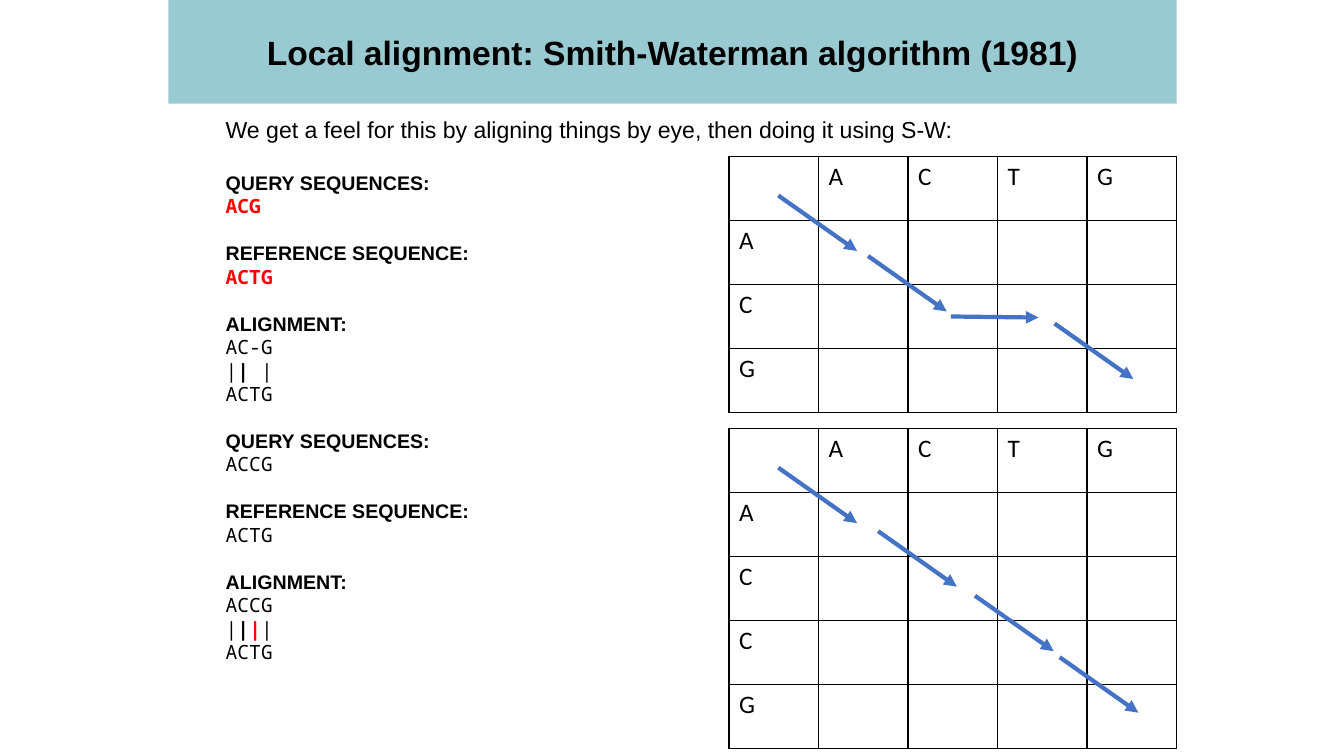
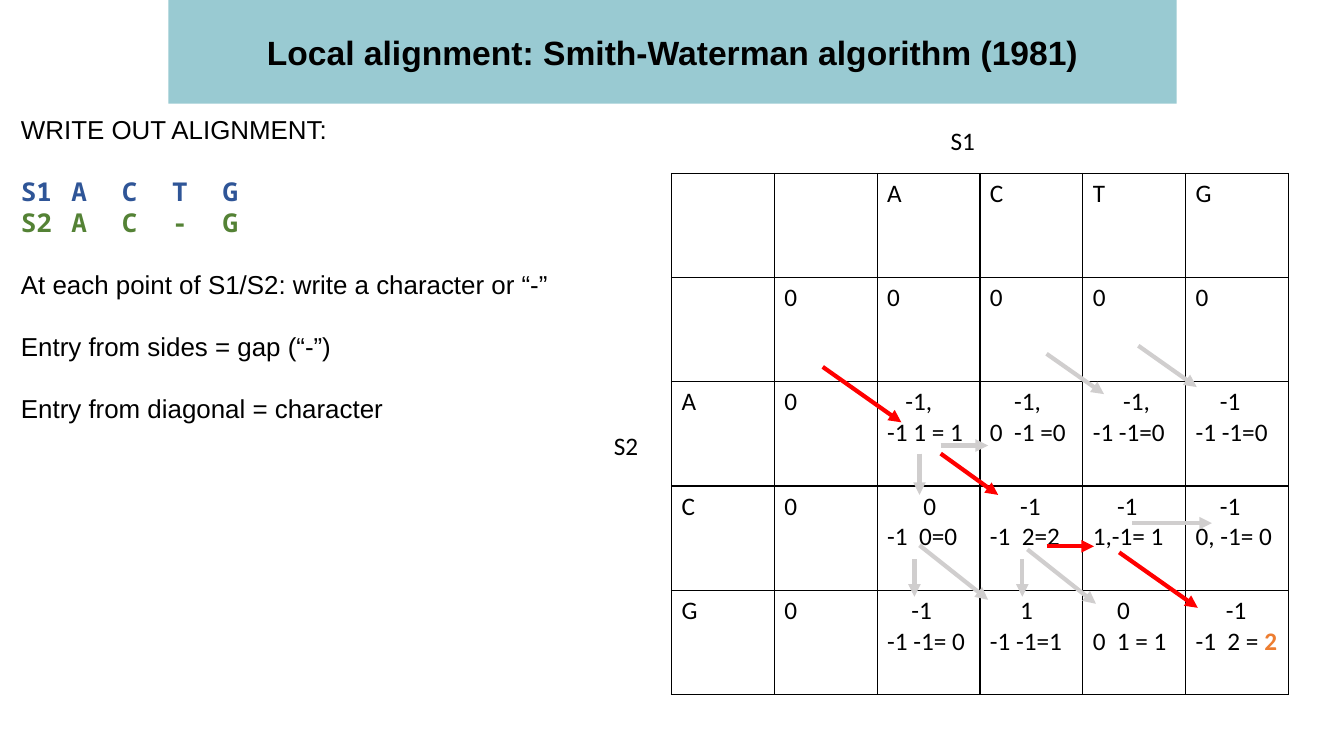
from dataclasses import dataclass

from lxml import etree
from pptx import Presentation
from pptx import util as u
from pptx.dml import color
from pptx.enum import shapes, text
from pptx.oxml import ns


@dataclass(frozen=True)
class Theme:
    band: str = "99CAD2"
    ink: str = "000000"
    red: str = "FF0000"
    blue: str = "4472C4"
    grey: str = "D0CECE"
    orange: str = "ED7D31"
    first_sequence: str = "2F5597"
    second_sequence: str = "548235"
    sans: str = "Arial"
    mono: str = "Noto Sans Mono"
    table: str = "Calibri"
    title_size: float = 24
    lead_size: float = 16.5
    step_size: float = 14
    note_size: float = 18.5
    cell_size: float = 18
    arrow_width: float = 3
    border_width: float = 1


THEME = Theme()
TITLE = "Local alignment: Smith-Waterman algorithm (1981)"
STEP_PITCH = 16.75
LEAD_PITCH = 19.7
NOTE_PITCH = 22.15
SPACE_WIDTH = 0.06
DIAGONAL = (0.78, 0.55)


def style(name, size, ink=THEME.ink, bold=False):
    return {"name": name, "size": u.Pt(size), "bold": bold, "ink": ink}


TITLE_STYLE = style(THEME.sans, THEME.title_size, bold=True)
LEAD = style(THEME.sans, THEME.lead_size)
HEADING = style(THEME.sans, THEME.step_size, bold=True)
MONO = style(THEME.mono, THEME.step_size)
MONO_BOLD = {**MONO, "bold": True}
MONO_RED = {**MONO_BOLD, "ink": THEME.red}
NOTE = style(THEME.sans, THEME.note_size)
FIRST = style(THEME.mono, THEME.note_size, THEME.first_sequence, True)
SECOND = {**FIRST, "ink": THEME.second_sequence}
CELL = style(THEME.table, THEME.cell_size)
BEST = {**CELL, "bold": True, "ink": THEME.orange}


@dataclass
class Line:
    runs: list
    gap: float = 0
    pitch: float = 0
    indent: float = 0


def inches(*values):
    return [u.Inches(value) for value in values]


def write_lines(frame, lines, alignment=text.PP_ALIGN.LEFT):
    for index, line in enumerate(lines):
        paragraph = frame.add_paragraph() if index else frame.paragraphs[0]
        paragraph.alignment = alignment
        if line.indent:
            properties = paragraph._p.get_or_add_pPr()
            properties.set("marL", str(u.Inches(line.indent)))
            properties.set("indent", "0")
        if line.gap:
            paragraph.space_before = u.Pt(line.gap)
        if line.pitch:
            paragraph.line_spacing = u.Pt(line.pitch)
        for words, look in line.runs:
            run = paragraph.add_run()
            run.text = words
            for key, value in look.items():
                if key == "ink":
                    run.font.color.rgb = color.RGBColor.from_string(value)
                else:
                    setattr(run.font, key, value)


def add_title(slide):
    shape = slide.shapes.add_shape(
        shapes.MSO_SHAPE.RECTANGLE, *inches(1.67, 0, 10, 1.03))
    shape.shadow.inherit = False
    shape.fill.solid()
    shape.fill.fore_color.rgb = color.RGBColor.from_string(THEME.band)
    shape.line.fill.background()
    frame = shape.text_frame
    frame.word_wrap = True
    frame.vertical_anchor = text.MSO_ANCHOR.MIDDLE
    for side in ("left", "top", "right", "bottom"):
        setattr(frame, f"margin_{side}", u.Inches(0.1))
    write_lines(frame, [Line([(TITLE, TITLE_STYLE)])], text.PP_ALIGN.CENTER)


def add_text(slide, box, lines):
    frame = slide.shapes.add_textbox(*inches(*box)).text_frame
    frame.word_wrap = True
    write_lines(frame, lines)


def add_borders(cell):
    properties = cell._tc.get_or_add_tcPr()
    for index, side in enumerate(("lnL", "lnR", "lnT", "lnB")):
        border = etree.Element(
            ns.qn(f"a:{side}"), w=str(u.Pt(THEME.border_width)))
        fill = etree.SubElement(border, ns.qn("a:solidFill"))
        etree.SubElement(fill, ns.qn("a:srgbClr"), val=THEME.ink)
        properties.insert(index, border)


def add_grid(slide, box, rows):
    table = slide.shapes.add_table(
        len(rows), len(rows[0]), *inches(*box)).table
    for flag in ("first_row", "horz_banding"):
        setattr(table, flag, False)
    for column in table.columns:
        column.width = u.Inches(box[2] / len(rows[0]))
    for row, values in zip(table.rows, rows):
        row.height = u.Inches(box[3] / len(rows))
        for cell, value in zip(row.cells, values):
            cell.fill.background()
            add_borders(cell)
            if value:
                lines = value if isinstance(value, list) else [
                    Line([(value, CELL)])]
                write_lines(cell.text_frame, lines)


def add_arrow(slide, start, end, ink):
    connector = slide.shapes.add_connector(
        shapes.MSO_CONNECTOR.STRAIGHT, *inches(*start, *end))
    connector.line.width = u.Pt(THEME.arrow_width)
    connector.line.color.rgb = color.RGBColor.from_string(ink)
    etree.SubElement(
        connector.line._get_or_add_ln(), ns.qn("a:tailEnd"), type="triangle")
    etree.SubElement(connector._element.spPr, ns.qn("a:effectLst"))


def sequence_grid(reference, query):
    return [["", *reference]] + [
        [letter] + [""] * len(reference) for letter in query]


def alignment_steps(query, reference, aligned, bars, look, gap):
    groups = [
        ("QUERY SEQUENCES:", [[(query, look)]]),
        ("REFERENCE SEQUENCE:", [[(reference, look)]]),
        ("ALIGNMENT:", [[(aligned, MONO)], bars, [(reference, MONO)]]),
    ]
    lines = []
    for heading, rows in groups:
        lines.append(Line([(heading, HEADING)], gap, STEP_PITCH, 0.12))
        lines += [Line(runs, 0, STEP_PITCH, 0.12) for runs in rows]
        gap = STEP_PITCH
    return lines


def score(spaces, above, *runs):
    return [Line([(above, CELL)], indent=spaces * SPACE_WIDTH),
            Line([(run, CELL) if isinstance(run, str) else run
                  for run in runs])]


def build_examples(slide):
    add_title(slide)
    lead = "We get a feel for this by aligning things by eye, then doing it using S-W:"
    gap_bars = [("|", MONO), ("|", MONO_BOLD), (" |", MONO)]
    mismatch_bars = [("|", MONO), ("|", MONO_BOLD), ("|", MONO_RED), ("|", MONO)]
    add_text(slide, (2.02, 1.1, 9.21, 5.59), [
        Line([(lead, LEAD)], 0, LEAD_PITCH, 0.12),
        *alignment_steps("ACG", "ACTG", "AC-G", gap_bars, MONO_RED, LEAD_PITCH),
        *alignment_steps("ACCG", "ACTG", "ACCG", mismatch_bars, MONO, STEP_PITCH),
    ])
    add_grid(slide, (7.23, 1.55, 4.44, 2.54), sequence_grid("ACTG", "ACG"))
    add_grid(slide, (7.23, 4.25, 4.44, 3.18), sequence_grid("ACTG", "ACCG"))
    for left, top in [(7.72, 1.94), (8.61, 2.54), (10.46, 3.21),
                      (7.72, 4.64), (8.71, 5.27), (9.67, 5.91), (10.51, 6.52)]:
        end = (left + DIAGONAL[0], top + DIAGONAL[1])
        add_arrow(slide, (left, top), end, THEME.blue)
    add_arrow(slide, (9.43, 3.14), (10.3, 3.15), THEME.blue)


def build_traceback(slide):
    add_title(slide)
    notes = [
        ("WRITE OUT ALIGNMENT:", NOTE, 0),
        ("S1\tA\tC\tT\tG", FIRST, NOTE_PITCH),
        ("S2\tA\tC\t-\tG", SECOND, 0),
        ("At each point of S1/S2: write a character or “-”", NOTE, NOTE_PITCH),
        ("Entry from sides = gap (“-”)", NOTE, NOTE_PITCH),
        ("Entry from diagonal = character", NOTE, NOTE_PITCH),
    ]
    add_text(slide, (0.11, 1.08, 6.43, 2.84), [
        Line([(words, look)], gap, NOTE_PITCH) for words, look, gap in notes])
    add_grid(slide, (6.66, 1.72, 6.12, 5.17), [
        ["", "", *"ACTG"],
        ["", *"00000"],
        ["A", "0", score(3, "-1,", "-1 1 = 1"), score(4, "-1,", "0  -1 =0"),
         score(5, "-1,", "-1 -1=0"), score(4, "-1", "-1 -1=0")],
        ["C", "0", score(6, "0", "-1  0=0"), score(5, "-1", "-1  2=2"),
         score(4, "-1", "1,-1= 1"), score(4, "-1", "0, -1= 0")],
        ["G", "0", score(4, "-1", "-1 -1= 0"), score(5, "1", "-1 -1=1"),
         score(4, "0", "0  1 = 1"), score(5, "-1", "-1  2 = ", ("2", BEST))],
    ])
    arrows = {
        THEME.grey: [
            ((9.12, 4.5), (9.12, 4.91)), ((9.33, 4.42), (9.8, 4.42)),
            ((9.12, 5.41), (9.8, 5.95)), ((10.19, 5.45), (10.87, 5.99)),
            ((11.23, 5.19), (12.02, 5.19)), ((9.07, 5.55), (9.07, 5.92)),
            ((11.29, 3.43), (11.87, 3.84)), ((10.14, 5.55), (10.14, 5.92)),
            ((10.38, 3.51), (10.95, 3.91))],
        THEME.red: [
            ((8.16, 3.64), (8.94, 4.19)), ((9.33, 4.5), (9.9, 4.91)),
            ((10.38, 5.42), (10.85, 5.42)), ((11.1, 5.48), (11.88, 6.03))],
    }
    for ink, paths in arrows.items():
        for start, end in paths:
            add_arrow(slide, start, end, ink)
    for name, left, top in [("S1", 9.33, 1.19), ("S2", 5.99, 4.22)]:
        add_text(slide, (left, top, 0.72, 0.4), [Line([(name, CELL)])])


def main():
    presentation = Presentation()
    presentation.slide_width, presentation.slide_height = inches(13.33, 7.5)
    for build in (build_examples, build_traceback):
        build(presentation.slides.add_slide(presentation.slide_layouts[6]))
    presentation.save("out.pptx")


if __name__ == "__main__":
    main()
